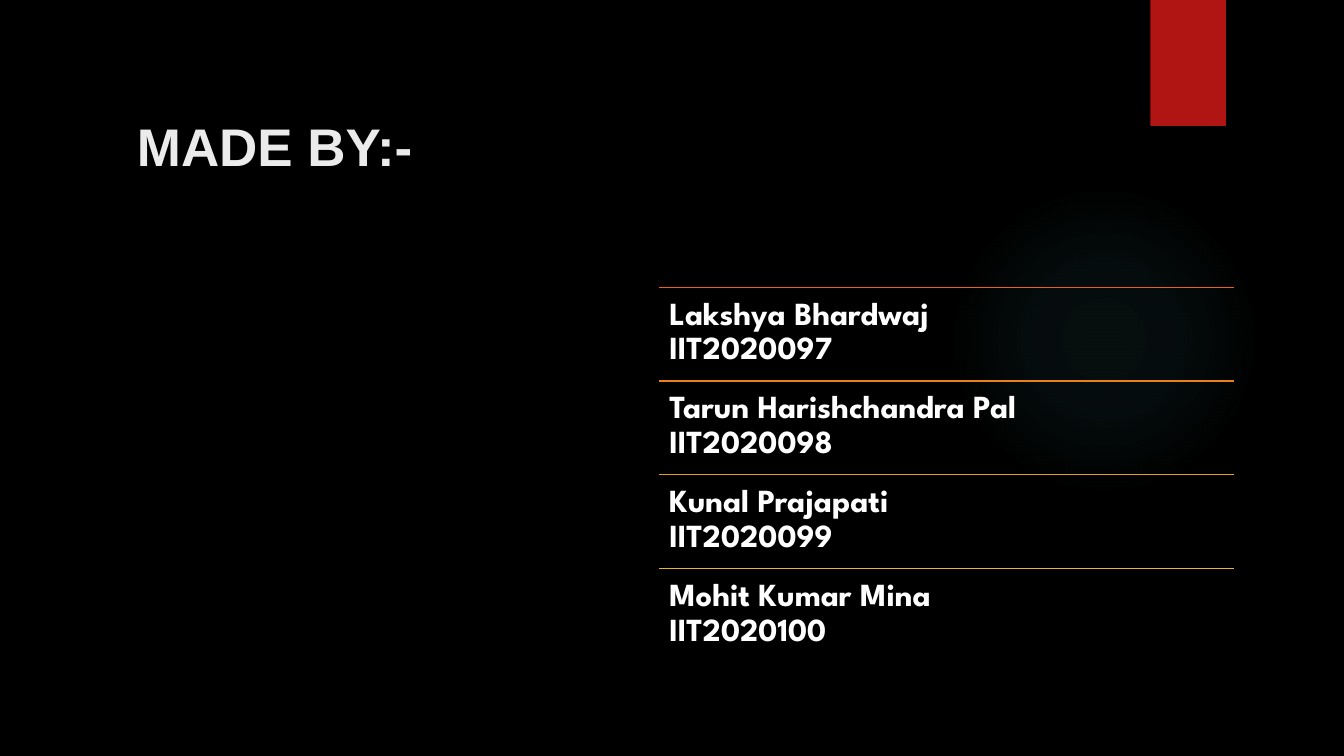
from pptx import Presentation
from pptx.dml.color import RGBColor
from pptx.enum import shapes, text
from pptx.oxml import ns, parse_xml
from pptx.util import Inches, Pt


def color(hex_code):
    """Turn a hex string into a colour."""
    return RGBColor.from_string(hex_code)


def add_text(box, content, font, size, hex_code):
    """Add a bold, wrapped text box and return its text frame."""
    frame = slide.shapes.add_textbox(*map(Inches, box)).text_frame
    frame.word_wrap = True
    frame.text = content
    for run in frame.paragraphs[0].runs:
        run.font.name = font
        run.font.size = Pt(size)
        run.font.bold = True
        run.font.color.rgb = color(hex_code)
    return frame


deck = Presentation()
deck.slide_width, deck.slide_height = Inches(13.33), Inches(7.5)
slide = deck.slides.add_slide(deck.slide_layouts[6])
slide.background.fill.solid()
slide.background.fill.fore_color.rgb = color("000000")

# Soft teal glow that fades out from its centre
glow = slide.shapes.add_shape(
    shapes.MSO_SHAPE.OVAL, Inches(9.41), Inches(1.83), Inches(3.08), Inches(3.08))
glow.shadow.inherit = False
glow.line.fill.background()
stops = "".join(
    f'<a:gs pos="{position * 1000}"><a:srgbClr val="50B9C1">'
    f'<a:alpha val="{opacity * 1000}"/></a:srgbClr></a:gs>'
    for position, opacity in [(0, 7), (36, 6), (69, 0), (100, 0)])
fade = parse_xml(
    f'<a:gradFill {ns.nsdecls("a")}><a:gsLst>{stops}</a:gsLst><a:path path="circle">'
    '<a:fillToRect l="50000" t="50000" r="50000" b="50000"/></a:path></a:gradFill>')
glow.element.spPr.find(ns.qn("a:prstGeom")).addnext(fade)

ribbon = slide.shapes.add_shape(
    shapes.MSO_SHAPE.RECTANGLE, Inches(11.41), 0, Inches(0.75), Inches(1.25))
ribbon.shadow.inherit = False
ribbon.fill.solid()
ribbon.fill.fore_color.rgb = color("B01513")
ribbon.line.fill.background()

heading = add_text((1.26, 1.06, 9.65, 0.77), "MADE BY:-", "Arial", 37.8, "EBEBEB")
heading.vertical_anchor = text.MSO_ANCHOR.MIDDLE

# One ruled row per author
authors = [
    ("Lakshya Bhardwaj", "IIT2020097", "EA6312"),
    ("Tarun Harishchandra Pal", "IIT2020098", "EA8118"),
    ("Kunal Prajapati", "IIT2020099", "E89D21"),
    ("Mohit Kumar Mina", "IIT2020100", "E6B729"),
]
left, first_top, width, row_height = 6.54, 2.85, 5.7, 0.93
for index, (name, roll_number, rule_color) in enumerate(authors):
    top = first_top + index * row_height
    rule = slide.shapes.add_connector(
        shapes.MSO_CONNECTOR.STRAIGHT,
        Inches(left), Inches(top), Inches(left + width), Inches(top))
    rule.line.color.rgb = color(rule_color)
    rule.line.width = Pt(0.75)
    rule.element.spPr.append(parse_xml(f'<a:effectLst {ns.nsdecls("a")}/>'))

    author = add_text((left, top, width, row_height), f"{name}\v{roll_number}",
                      "League Spartan", 23, "FFFFFF")
    author.margin_left = author.margin_right = Inches(0.1)
    author.margin_top = author.margin_bottom = Inches(0.1)
    author.paragraphs[0].line_spacing = 0.9

deck.save("out.pptx")
